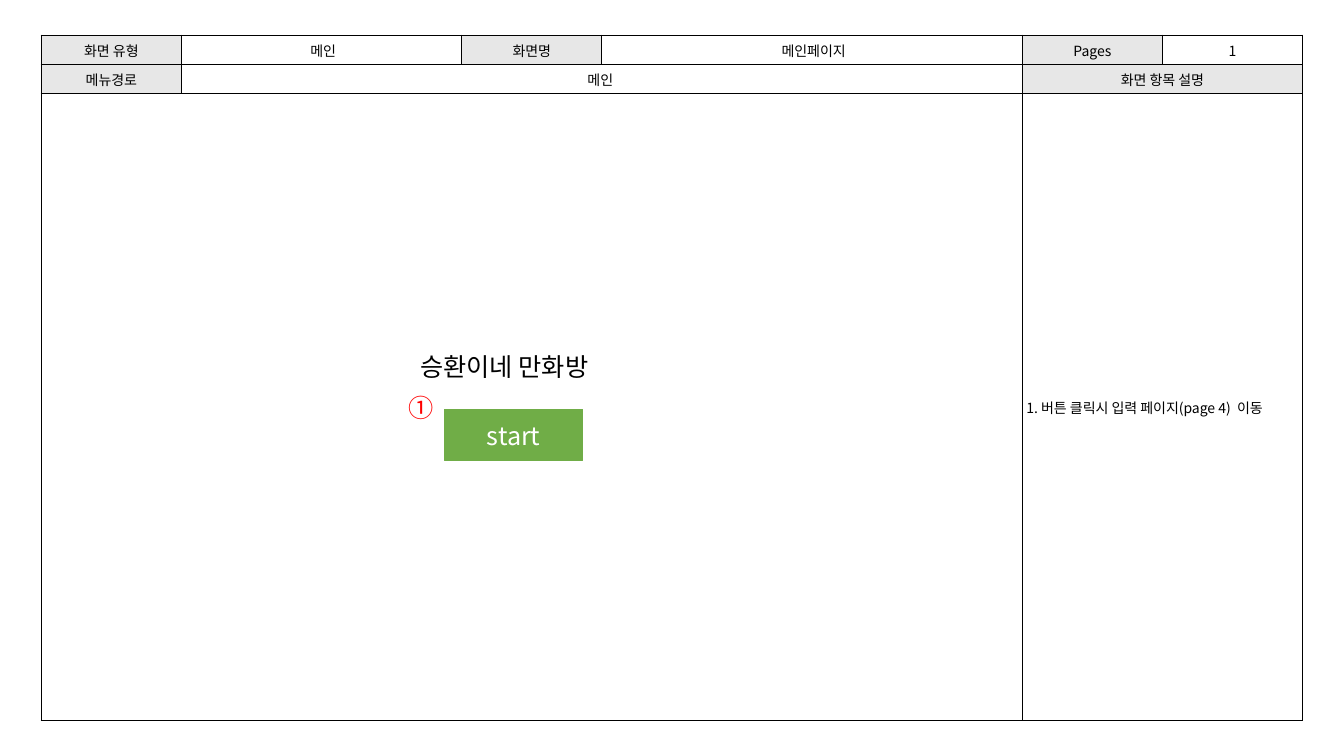
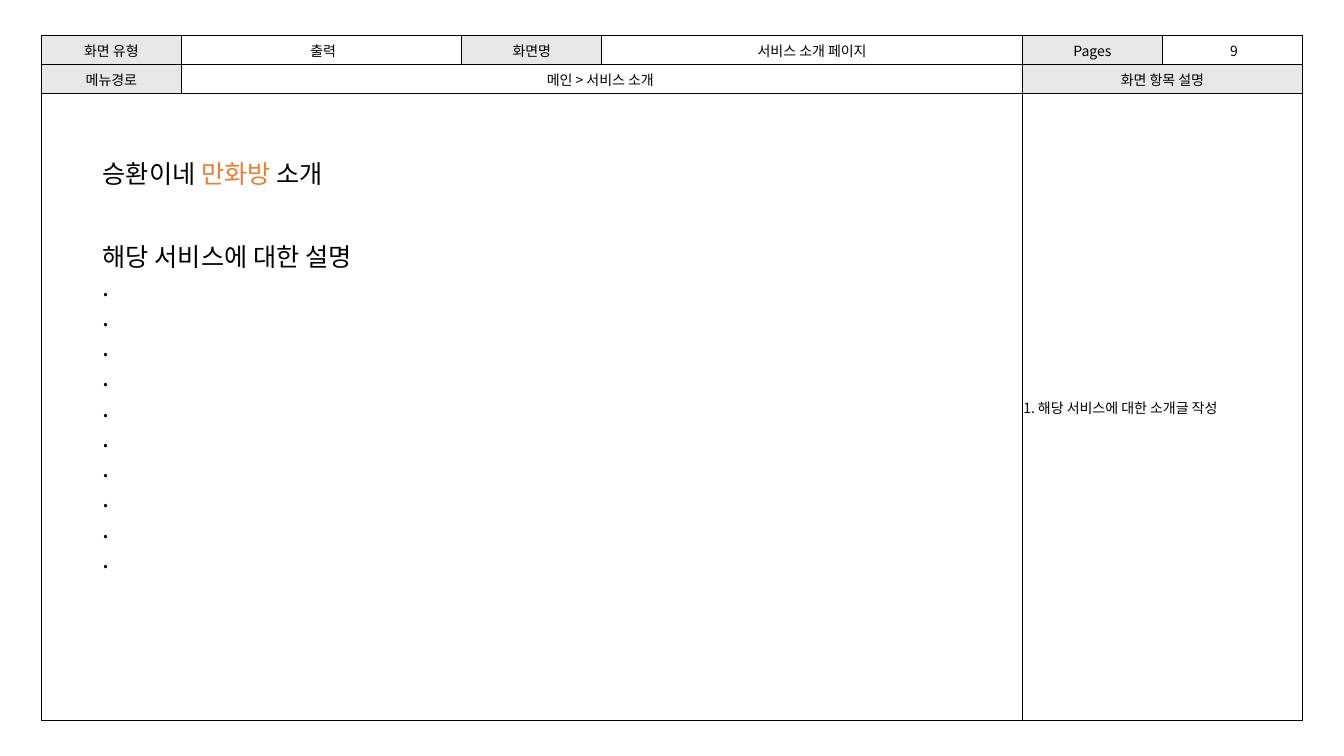
from lxml import etree
from pptx import Presentation
from pptx.dml.color import RGBColor
from pptx.enum import shapes, text
from pptx.oxml import ns
from pptx.util import Inches, Pt

BLACK = RGBColor(0x00, 0x00, 0x00)
WHITE = RGBColor(0xFF, 0xFF, 0xFF)
GREY = RGBColor(0xE7, 0xE7, 0xE7)
GREEN = RGBColor(0x70, 0xAD, 0x47)
ORANGE = RGBColor(0xED, 0x7D, 0x31)
RED = RGBColor(0xFF, 0x00, 0x00)
FONT = "Noto Sans CJK KR"
COLS = [1.39, 2.78, 1.39, 4.17, 1.39, 1.39]
ROWS = [0.29, 0.29, 6.22]
BODY = 18
SMALL = 10
LEAD = Pt(21.6)
MID = text.PP_ALIGN.CENTER


def add_run(para, words, size, color=BLACK):
    """Add one run in the shared font, for Latin and Korean alike."""
    run = para.add_run()
    run.text = words
    run.font.size = Pt(size)
    run.font.name = FONT
    run.font.color.rgb = color
    east = etree.SubElement(run.font._element, ns.qn("a:ea"))
    east.set("typeface", FONT)


def add_edges(cell):
    """Draw a thin black line on all four sides of a cell."""
    props = cell._tc.get_or_add_tcPr()
    for spot, side in enumerate("LRTB"):
        line = etree.Element(ns.qn(f"a:ln{side}"), w=str(Pt(1)))
        fill = etree.SubElement(line, ns.qn("a:solidFill"))
        etree.SubElement(fill, ns.qn("a:srgbClr"), val=str(BLACK))
        props.insert(spot, line)


def fill_cell(cell, words, color=WHITE, align=MID):
    """Write a cell's text and set its fill."""
    cell.fill.solid()
    cell.fill.fore_color.rgb = color
    para = cell.text_frame.paragraphs[0]
    para.alignment = align
    add_run(para, words, SMALL)


def add_frame(slide, kind, name, page, route, note):
    """Add the table that frames a screen, with its header and note."""
    frame = slide.shapes.add_table(
        len(ROWS), len(COLS), Inches(0.41), Inches(0.35),
        Inches(sum(COLS)), Inches(sum(ROWS)))
    table = frame.table
    table.first_row = table.horz_banding = False
    for col, width in zip(table.columns, COLS):
        col.width = Inches(width)
    for row, height in zip(table.rows, ROWS):
        row.height = Inches(height)
    for cell in table.iter_cells():
        cell.margin_left = cell.margin_right = Inches(0.01)
        cell.margin_top, cell.margin_bottom = Inches(0.01), 0
        cell.vertical_anchor = text.MSO_ANCHOR.MIDDLE
        cell.fill.solid()
        cell.fill.fore_color.rgb = WHITE
        add_edges(cell)
    for row, first, last in [(1, 1, 3), (1, 4, 5), (2, 0, 3), (2, 4, 5)]:
        table.cell(row, first).merge(table.cell(row, last))
    heads = ["화면 유형", kind, "화면명", name, "Pages", page]
    for col, words in enumerate(heads):
        fill_cell(table.cell(0, col), words, WHITE if col % 2 else GREY)
    fill_cell(table.cell(1, 0), "메뉴경로", GREY)
    fill_cell(table.cell(1, 1), route)
    fill_cell(table.cell(1, 4), "화면 항목 설명", GREY)
    fill_cell(table.cell(2, 4), note, align=text.PP_ALIGN.LEFT)


def add_text(slide, left, top, width, height, paras, wrap=True):
    """Add a text box; each paragraph is a list of (words, colour) runs."""
    box = slide.shapes.add_textbox(
        Inches(left), Inches(top), Inches(width), Inches(height))
    body = box.text_frame
    body.word_wrap = wrap
    body.auto_size = text.MSO_AUTO_SIZE.SHAPE_TO_FIT_TEXT
    for spot, runs in enumerate(paras):
        para = body.add_paragraph() if spot else body.paragraphs[0]
        para.line_spacing = LEAD
        for words, color in runs:
            add_run(para, words, BODY, color)


def add_button(slide, left, top, width, height, words):
    """Add a green button with a white label."""
    button = slide.shapes.add_shape(
        shapes.MSO_SHAPE.RECTANGLE, Inches(left), Inches(top),
        Inches(width), Inches(height))
    button.shadow.inherit = False
    button.fill.solid()
    button.fill.fore_color.rgb = GREEN
    button.line.color.rgb = GREEN
    button.line.width = Pt(1)
    body = button.text_frame
    body.vertical_anchor = text.MSO_ANCHOR.MIDDLE
    para = body.paragraphs[0]
    para.alignment = MID
    add_run(para, words, BODY, WHITE)


def draw_main(slide):
    """Draw the main screen."""
    add_frame(slide, " 메인", " 메인페이지", "1", "메인 ",
              " 1. 버튼 클릭시 입력 페이지(page 4)  이동")
    add_text(slide, 4.07, 3.44, 2.04, 0.4, [[("승환이네 만화방", BLACK)]])
    add_button(slide, 4.41, 4.06, 1.37, 0.51, "start")
    add_text(slide, 3.95, 3.84, 0.45, 0.4, [[("①", RED)]], wrap=False)


def draw_about(slide):
    """Draw the screen that presents the service."""
    add_frame(slide, " 출력", " 서비스 소개 페이지 ", " 9",
              "메인 > 서비스 소개 ", "1. 해당 서비스에 대한 소개글 작성")
    add_text(slide, 0.92, 1.52, 5.51, 0.4, [
        [("승환이네 ", BLACK), ("만화방 ", ORANGE), ("소개", BLACK)]])
    add_text(slide, 0.92, 2.34, 8.14, 3.43, [
        [("해당 서비스에 대한 설명", BLACK)]] + [[(".", BLACK)]] * 10)


def main():
    """Build and save the slides."""
    deck = Presentation()
    deck.slide_width, deck.slide_height = Inches(13.33), Inches(7.5)
    for draw in (draw_main, draw_about):
        draw(deck.slides.add_slide(deck.slide_layouts[6]))
    deck.save("out.pptx")


main()
